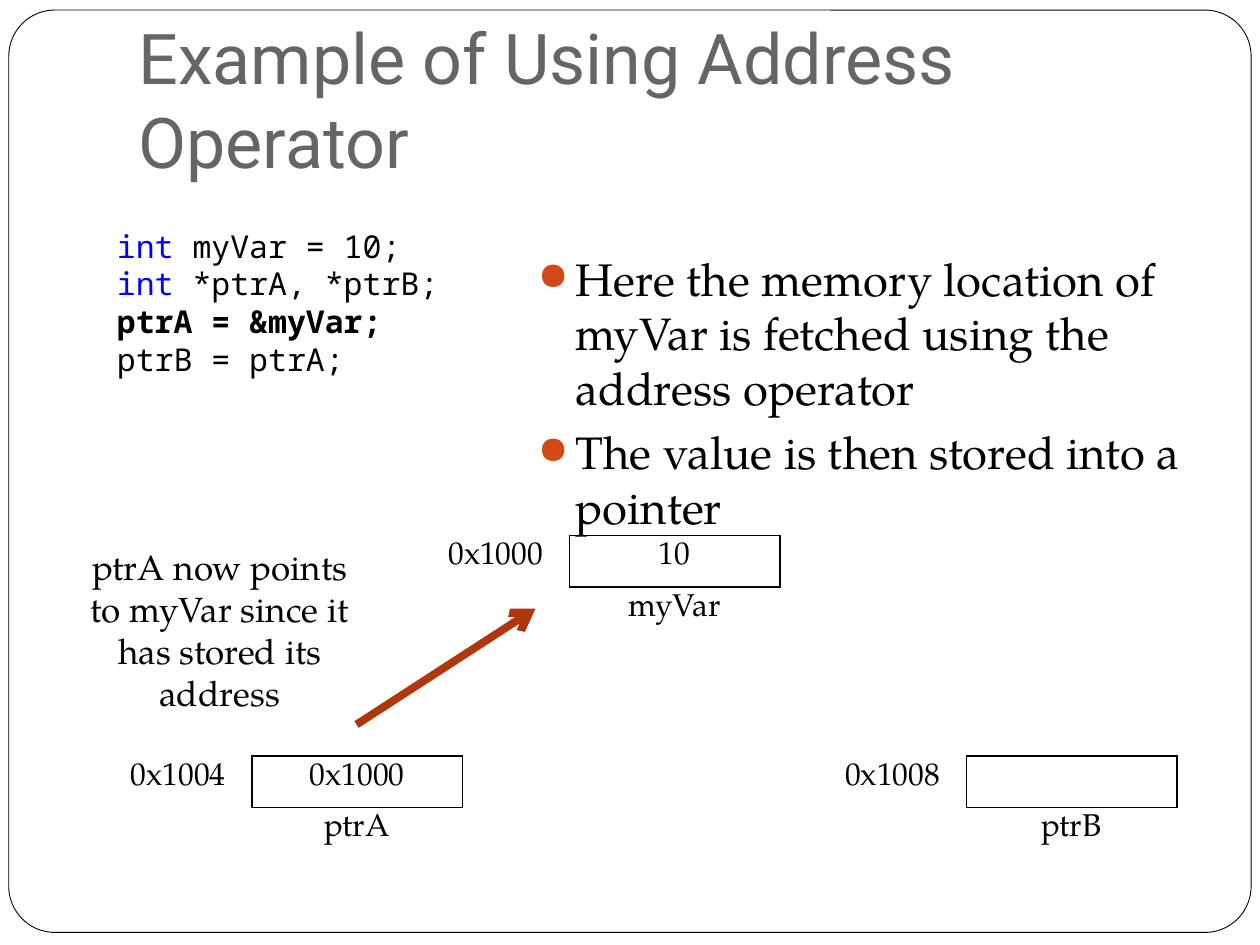
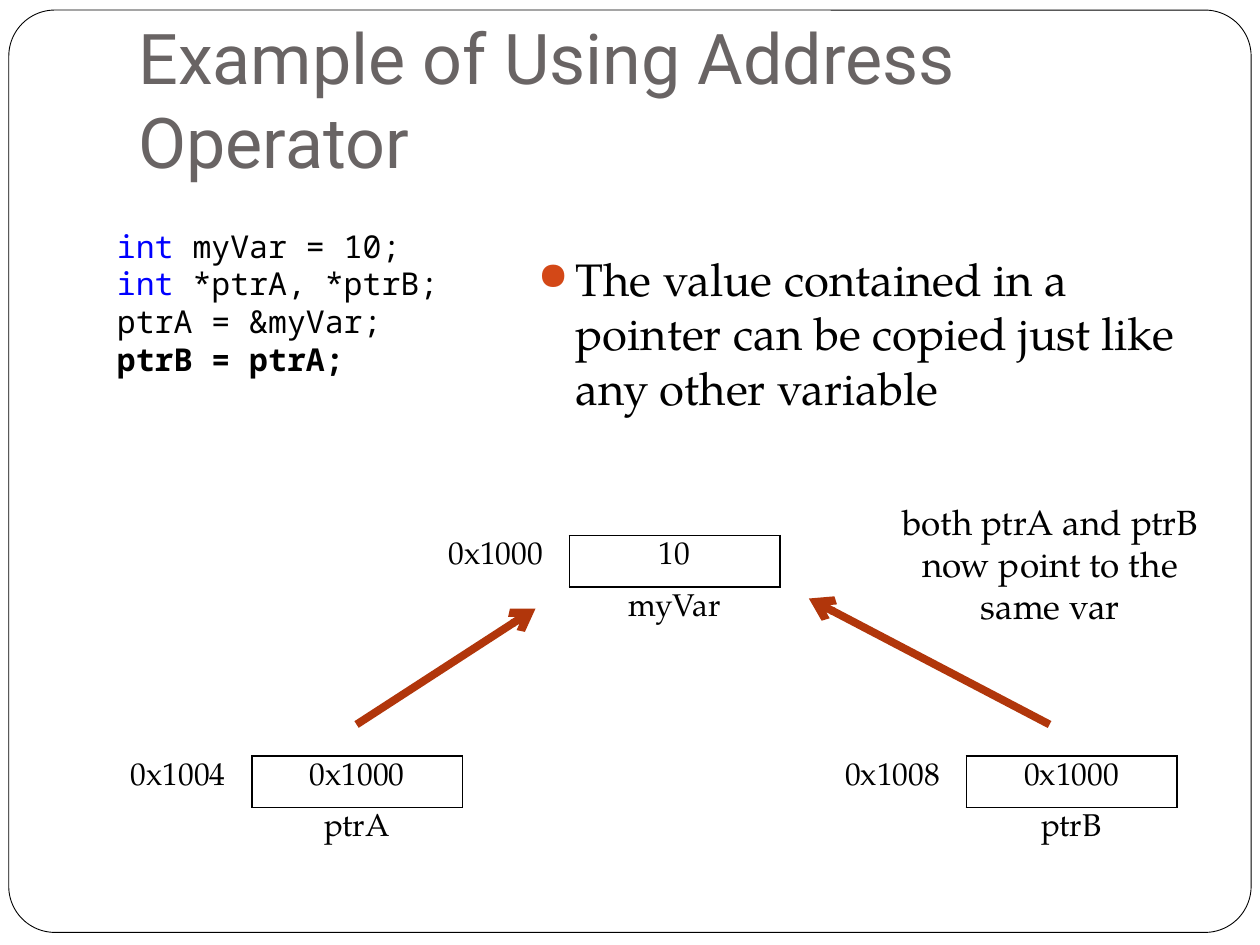
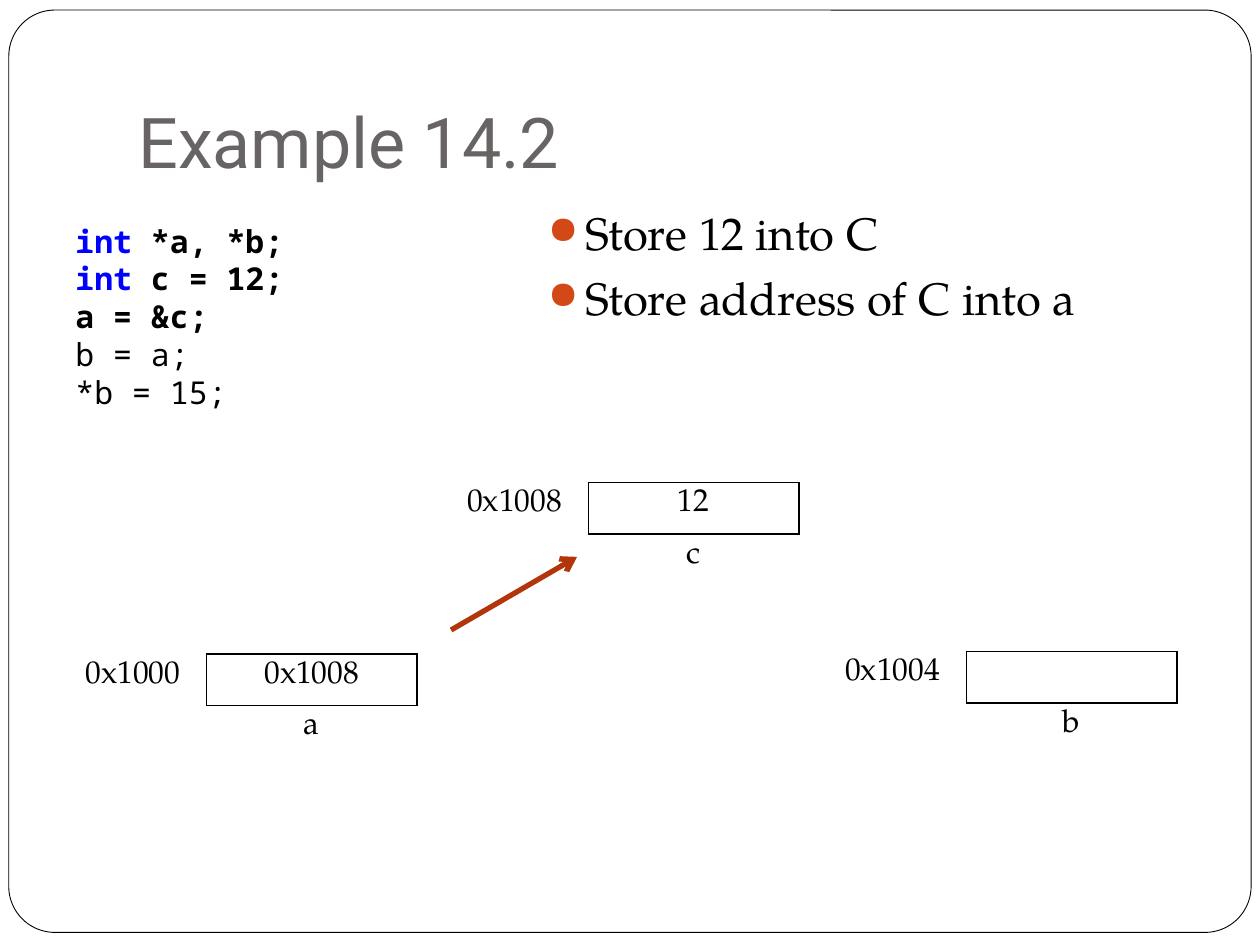
from lxml.etree import SubElement
from pptx import Presentation
from pptx.dml.color import RGBColor
from pptx.enum.shapes import MSO_CONNECTOR, MSO_SHAPE
from pptx.enum.text import MSO_ANCHOR, PP_ALIGN
from pptx.oxml.ns import qn
from pptx.util import Inches, Pt

BLACK = RGBColor(0x00, 0x00, 0x00)
WHITE = RGBColor(0xFF, 0xFF, 0xFF)
GRAY = RGBColor(0x69, 0x64, 0x64)
KEYWORD_BLUE = RGBColor(0x00, 0x00, 0xFF)
ARROW_RED = RGBColor(0xB1, 0x36, 0x0B)
BULLET_ORANGE = RGBColor(0xD3, 0x48, 0x17)

TITLE_FONT = "Roboto"
BODY_FONT = "TeX Gyre Pagella"
CODE_FONT = "Noto Sans Mono"

COLUMN_WIDTHS = (1.17, 1.67)
ROW_HEIGHT = 0.41
# Bordered sides of the cells in each row: address and value, blank and name
CELL_BORDERS = (("R", "LRTB"), ("", "T"))


def add_box(page, left, top, width, height):
    """Add a wrapping text box and return its text frame."""
    box = page.shapes.add_textbox(
        Inches(left), Inches(top), Inches(width), Inches(height))
    box.text_frame.word_wrap = True
    return box.text_frame


def add_span(para, text, size, font=BODY_FONT, color=BLACK, bold=False):
    """Add one formatted run to a paragraph."""
    span = para.add_run()
    span.text = text
    span.font.size = Pt(size)
    span.font.name = font
    span.font.color.rgb = color
    span.font.bold = bold


POINTER_TITLE = "Example of Using Address Operator"
POINTER_CODE = ["int myVar = 10;", "int *ptrA, *ptrB;",
                "ptrA = &myVar;", "ptrB = ptrA;"]
MY_VAR = (3.35, 4.25, "0x1000", "10", "myVar")
PTR_A = (0.83, 6, "0x1004", "0x1000", "ptrA")
ARROW_FROM_A = (2.83, 5.75, 4.25, 4.83, 4.5)
ARROW_FROM_B = (8.33, 5.75, 6.42, 4.75, 4.5)

# code_at: left, top; variables: left, top, address, value, name
# arrows: start x, y, end x, y, weight; note: left, top, height, lines
SLIDES = [
    {
        "title": POINTER_TITLE,
        "code": POINTER_CODE, "code_at": (0.83, 1.75), "bold_lines": [2],
        "variables": [MY_VAR, PTR_A, (6.5, 6, "0x1008", "", "ptrB")],
        "arrows": [ARROW_FROM_A],
        "note": (0.33, 4.28, 1.11, ["ptrA now points", "to myVar since it",
                                    "has stored its address"]),
        "bullets_at": (4.17, 1.94, 5.5, 1.64),
        "bullets": ["Here the memory location of myVar is fetched using "
                    "the address operator",
                    "The value is then stored into a pointer"],
    },
    {
        "title": POINTER_TITLE,
        "code": POINTER_CODE, "code_at": (0.83, 1.75), "bold_lines": [3],
        "variables": [MY_VAR, PTR_A, (6.5, 6, "0x1008", "0x1000", "ptrB")],
        "arrows": [ARROW_FROM_A, ARROW_FROM_B],
        "note": (6.92, 3.92, 0.77,
                 ["both ptrA and ptrB now point to the same var"]),
        "bullets_at": (4.17, 1.94, 5.5, 1.15),
        "bullets": ["The value contained in a pointer can be copied just "
                    "like any other variable"],
    },
    {
        "title": "Example 14.2",
        "code": ["int *a, *b;", "int c = 12;", "a = &c;", "b = a;",
                 "*b = 15;"],
        "code_at": (0.5, 1.71), "bold_lines": [0, 1, 2],
        "variables": [(6.5, 5.17, "0x1004", "", "b"),
                      (0.47, 5.19, "0x1000", "0x1008", "a"),
                      (3.5, 3.83, "0x1008", "12", "c")],
        "arrows": [(3.58, 5, 4.58, 4.42, 3)],
        "note": None,
        "bullets_at": (4.25, 1.58, 5.25, 1.24),
        "bullets": ["Store 12 into C", "Store address of C into a"],
    },
]

deck = Presentation()
deck.slide_width = Inches(10)
deck.slide_height = Inches(7.5)

for content in SLIDES:
    page = deck.slides.add_slide(deck.slide_layouts[6])

    # Rounded frame
    frame = page.shapes.add_shape(
        MSO_SHAPE.ROUNDED_RECTANGLE,
        Inches(0.07), Inches(0.08), Inches(9.86), Inches(7.32))
    frame.adjustments[0] = 0.05
    frame.shadow.inherit = False
    frame.fill.solid()
    frame.fill.fore_color.rgb = WHITE
    frame.line.color.rgb = BLACK
    frame.line.width = Pt(0.5)

    # Title
    title = add_box(page, 1, 0.3, 8.5, 1.25)
    title.vertical_anchor = MSO_ANCHOR.BOTTOM
    title.margin_bottom = Inches(0.1)
    add_span(title.paragraphs[0], content["title"], 40, TITLE_FONT, GRAY)

    # Memory cells
    for left, top, address, value, name in content["variables"]:
        table = page.shapes.add_table(
            2, 2, Inches(left), Inches(top),
            Inches(sum(COLUMN_WIDTHS)), Inches(2 * ROW_HEIGHT)).table
        table.first_row = False
        table.horz_banding = False
        for column, width in zip(table.columns, COLUMN_WIDTHS):
            column.width = Inches(width)
        for r, texts in enumerate(((address, value), ("", name))):
            table.rows[r].height = Inches(ROW_HEIGHT)
            for c, text in enumerate(texts):
                cell = table.cell(r, c)
                para = cell.text_frame.paragraphs[0]
                para.alignment = PP_ALIGN.CENTER
                if text:
                    add_span(para, text, 18)
                properties = cell._tc.get_or_add_tcPr()
                for side in "LRTB":
                    border = SubElement(properties, qn(f"a:ln{side}"))
                    if side in CELL_BORDERS[r][c]:
                        border.set("w", str(Pt(1)))
                        fill = SubElement(border, qn("a:solidFill"))
                        SubElement(fill, qn("a:srgbClr"), val=str(BLACK))
                    else:
                        SubElement(border, qn("a:noFill"))
                cell.fill.background()

    # Code listing
    code = add_box(page, *content["code_at"], 5, 0.1 + 0.3 * len(content["code"]))
    for index, line in enumerate(content["code"]):
        para = code.paragraphs[0] if index == 0 else code.add_paragraph()
        bold = index in content["bold_lines"]
        if line.startswith("int"):
            add_span(para, "int", 18, CODE_FONT, KEYWORD_BLUE, bold)
        add_span(para, line.removeprefix("int"), 18, CODE_FONT, BLACK, bold)

    # Pointer arrows
    for start_x, start_y, end_x, end_y, weight in content["arrows"]:
        arrow = page.shapes.add_connector(
            MSO_CONNECTOR.STRAIGHT, Inches(start_x), Inches(start_y),
            Inches(end_x), Inches(end_y))
        arrow.line.color.rgb = ARROW_RED
        arrow.line.width = Pt(weight)
        SubElement(arrow.line._get_or_add_ln(), qn("a:tailEnd"), type="arrow")
        SubElement(arrow._element.spPr, qn("a:effectLst"))

    # Centred note
    if content["note"]:
        left, top, height, lines = content["note"]
        note = add_box(page, left, top, 2.83, height)
        for index, line in enumerate(lines):
            para = note.paragraphs[0] if index == 0 else note.add_paragraph()
            para.alignment = PP_ALIGN.CENTER
            add_span(para, line, 20)

    # Bulleted explanation
    bullets = add_box(page, *content["bullets_at"])
    for index, text in enumerate(content["bullets"]):
        para = bullets.paragraphs[0] if index == 0 else bullets.add_paragraph()
        para.space_before = Pt(5.8)
        properties = para._p.get_or_add_pPr()
        properties.set("marL", str(Inches(0.3)))
        properties.set("indent", str(Inches(-0.3)))
        bullet_color = SubElement(properties, qn("a:buClr"))
        SubElement(bullet_color, qn("a:srgbClr"), val=str(BULLET_ORANGE))
        SubElement(properties, qn("a:buSzPct"), val="85000")
        SubElement(properties, qn("a:buChar"), char="●")
        add_span(para, text, 26)

deck.save("out.pptx")
